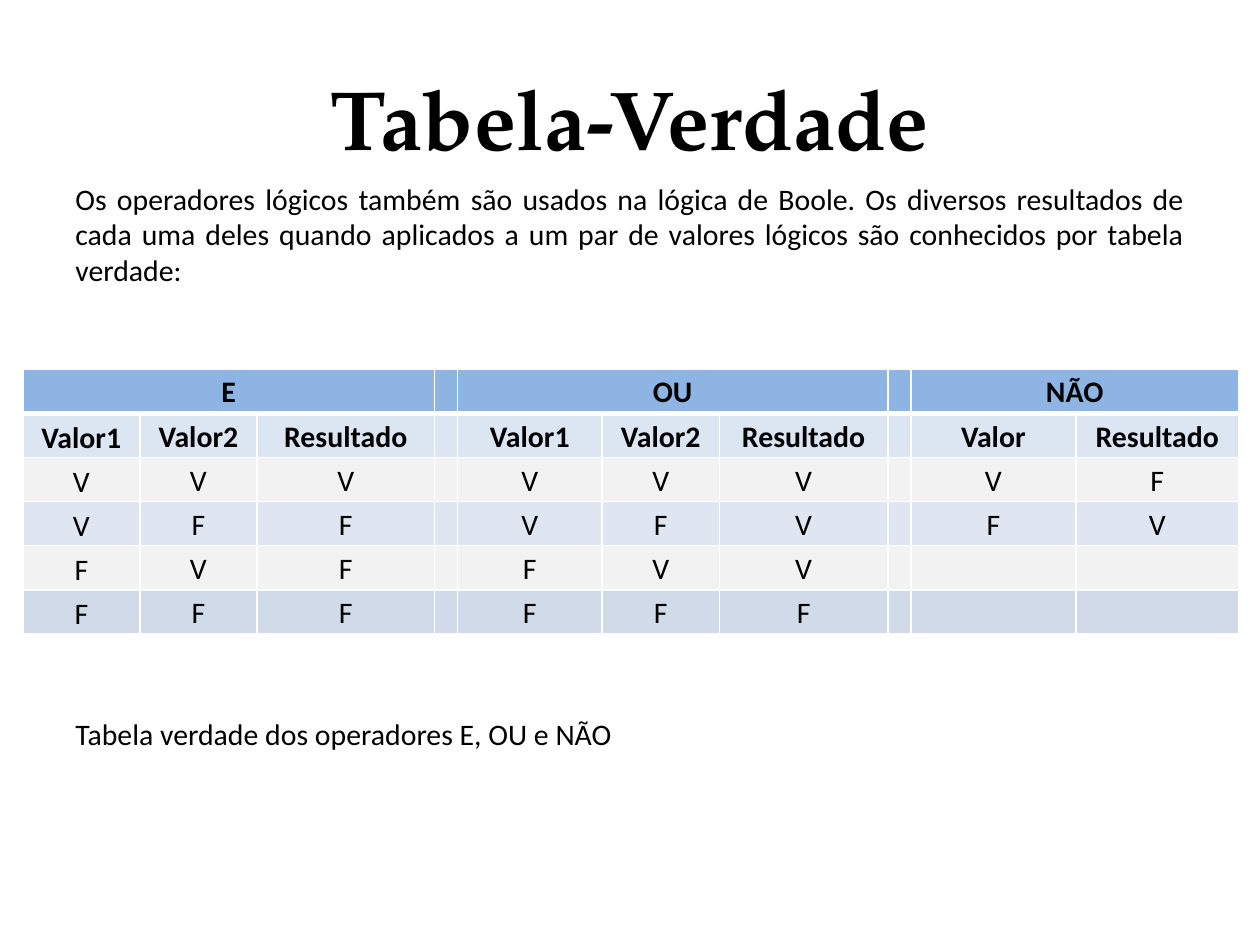
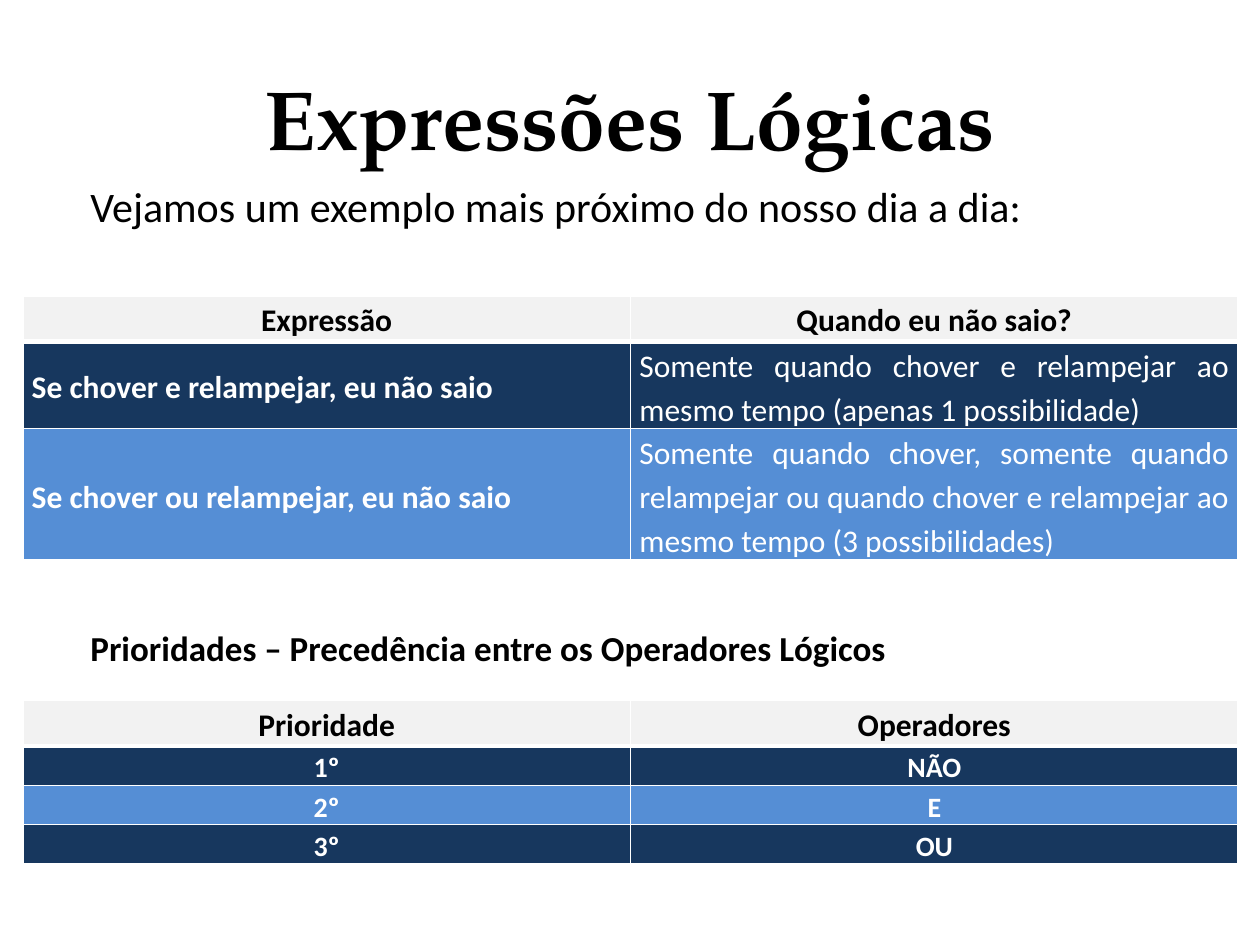
from pptx import Presentation
from pptx.dml.color import RGBColor
from pptx.enum.text import MSO_ANCHOR, PP_ALIGN
from pptx.oxml import parse_xml
from pptx.oxml.ns import nsdecls
from pptx.util import Cm, Pt

LEFT, CENTER, JUSTIFY = PP_ALIGN.LEFT, PP_ALIGN.CENTER, PP_ALIGN.JUSTIFY
TOP, MIDDLE = MSO_ANCHOR.TOP, MSO_ANCHOR.MIDDLE

BLACK = RGBColor(0x00, 0x00, 0x00)
WHITE = RGBColor(0xFF, 0xFF, 0xFF)
GREY = RGBColor(0xF2, 0xF2, 0xF2)
SKY = RGBColor(0x8E, 0xB4, 0xE3)
PALE_SKY = RGBColor(0xDC, 0xE6, 0xF2)
PALE_BLUE = RGBColor(0xE0, 0xE6, 0xF1)
DUSTY_BLUE = RGBColor(0xD1, 0xDA, 0xE9)
NAVY = RGBColor(0x17, 0x37, 0x5E)
BLUE = RGBColor(0x55, 0x8E, 0xD5)

TITLE_FONT = "TeX Gyre Pagella"
BODY_FONT = "Calibri"
MARGIN = Cm(1.27)
CONTENT_WIDTH = Cm(22.86)
BODY_TOP = Cm(3.51)
TABLE_LEFT = Cm(0.46)
INDENT = Cm(0.3)

TRUTH_TITLE = "Tabela-Verdade"
TRUTH_INTRO = (
    "Os operadores lógicos também são usados na lógica de Boole. Os diversos "
    "resultados de cada uma deles quando aplicados a um par de valores lógicos "
    "são conhecidos por tabela verdade:"
)
TRUTH_CAPTION = "Tabela verdade dos operadores E, OU e NÃO"
TRUTH_ROWS = [
    ["E", "", "", "", "OU", "", "", "", "NÃO", ""],
    ["Valor1", "Valor2", "Resultado", "", "Valor1", "Valor2", "Resultado", "",
     "Valor", "Resultado"],
    ["V", "V", "V", "", "V", "V", "V", "", "V", "F"],
    ["V", "F", "F", "", "V", "F", "V", "", "F", "V"],
    ["F", "V", "F", "", "F", "V", "V", "", "", ""],
    ["F", "F", "F", "", "F", "F", "F", "", "", ""],
]
TRUTH_FILLS = [SKY, PALE_SKY, GREY, PALE_BLUE, GREY, DUSTY_BLUE]
TRUTH_COLUMNS = [2.36, 2.36, 3.58, 0.46, 2.92, 2.36, 3.4, 0.46, 3.33, 3.28]
OPERATOR_SPANS = [(0, 2), (4, 6), (8, 9)]

EXPRESSION_TITLE = "Expressões Lógicas"
EXPRESSION_INTRO = "Vejamos um exemplo mais próximo do nosso dia a dia:"
EXPRESSION_ROWS = [
    ["Expressão", "Quando eu não saio?"],
    ["Se chover e relampejar, eu não saio",
     "Somente quando chover e relampejar ao mesmo tempo (apenas 1 possibilidade)"],
    ["Se chover ou relampejar, eu não saio",
     "Somente quando chover, somente quando relampejar ou quando chover e "
     "relampejar ao mesmo tempo (3 possibilidades)"],
]
PRIORITY_HEADING = "Prioridades – Precedência entre os Operadores Lógicos"
PRIORITY_ROWS = [
    ["Prioridade", "Operadores"],
    ["1º", "NÃO"],
    ["2º", "E"],
    ["3º", "OU"],
]
STRIPE_FILLS = [GREY, NAVY, BLUE, NAVY]
HALF_COLUMNS = [12.25, 12.25]


def format_paragraph(paragraph, size, color=BLACK, bold=False, align=LEFT, font=BODY_FONT):
    paragraph.alignment = align
    for run in paragraph.runs:
        run.font.name = font
        run.font.size = Pt(size)
        run.font.bold = bold
        run.font.color.rgb = color


def add_text(slide, text, top, height, size, anchor=TOP, indent=0, space_before=0, **style):
    box = slide.shapes.add_textbox(MARGIN, top, CONTENT_WIDTH, height)
    frame = box.text_frame
    frame.word_wrap = True
    frame.vertical_anchor = anchor
    frame.margin_left += indent
    frame.text = text
    paragraph = frame.paragraphs[0]
    paragraph.space_before = Pt(space_before)
    format_paragraph(paragraph, size, **style)


def add_title(slide, text):
    add_text(slide, text, Cm(0.76), Cm(3.18), 48, anchor=MIDDLE, bold=True,
             align=CENTER, font=TITLE_FONT)


def set_borders(cell, top_width, bottom_width):
    properties = cell._tc.get_or_add_tcPr()
    for side, width in (("L", 1), ("R", 1), ("T", top_width), ("B", bottom_width)):
        properties.append(parse_xml(
            f'<a:ln{side} {nsdecls("a")} w="{Pt(width)}"><a:solidFill>'
            f'<a:srgbClr val="{WHITE}"/></a:solidFill></a:ln{side}>'))


def add_grid(slide, top, columns, heights, rows, fills, style_for):
    """Add a table; style_for(row, column) gives the text style of a cell."""
    table = slide.shapes.add_table(
        len(rows), len(columns), TABLE_LEFT, top,
        Cm(sum(columns)), Cm(sum(heights))).table
    table.first_row = table.horz_banding = False
    for column, width in zip(table.columns, columns):
        column.width = Cm(width)
    for row_index, (texts, fill, height) in enumerate(zip(rows, fills, heights)):
        table.rows[row_index].height = Cm(height)
        for column_index, text in enumerate(texts):
            cell = table.cell(row_index, column_index)
            cell.margin_left = cell.margin_right = Cm(0.18)
            cell.margin_top = cell.margin_bottom = 0
            cell.vertical_anchor = MIDDLE if row_index and column_index == 0 else TOP
            set_borders(cell, 3 if row_index == 1 else 1, 3 if row_index == 0 else 1)
            cell.fill.solid()
            cell.fill.fore_color.rgb = fill
            if text:
                cell.text_frame.text = text
                paragraph = cell.text_frame.paragraphs[0]
                paragraph.line_spacing = 1.15
                paragraph.space_after = Pt(10)
                format_paragraph(paragraph, **style_for(row_index, column_index))
    return table


def truth_style(row, column):
    return dict(size=17, bold=row < 2, align=CENTER)


def expression_style(row, column):
    if row == 0:
        return dict(size=18, bold=True, align=CENTER)
    return dict(size=18, color=WHITE, bold=column == 0, align=JUSTIFY)


def priority_style(row, column):
    if row == 0:
        return expression_style(row, column)
    return dict(size=16, color=WHITE, bold=True, align=CENTER)


def build_truth_slide(slide):
    add_title(slide, TRUTH_TITLE)
    add_text(slide, TRUTH_INTRO, BODY_TOP, Cm(3), 17, space_before=2, align=JUSTIFY)
    table = add_grid(slide, Cm(7.44), TRUTH_COLUMNS, [0.89] * len(TRUTH_ROWS),
                     TRUTH_ROWS, TRUTH_FILLS, truth_style)
    for first, last in OPERATOR_SPANS:
        table.cell(0, first).merge(table.cell(0, last))
    add_text(slide, TRUTH_CAPTION, Cm(14.3), Cm(0.99), 17, anchor=MIDDLE, align=JUSTIFY)


def build_expression_slide(slide):
    add_title(slide, EXPRESSION_TITLE)
    add_text(slide, EXPRESSION_INTRO, BODY_TOP, Cm(1.5), 24, indent=INDENT, space_before=2)
    add_grid(slide, Cm(5.97), HALF_COLUMNS, [0.92, 1.75, 2.65],
             EXPRESSION_ROWS, STRIPE_FILLS, expression_style)
    add_text(slide, PRIORITY_HEADING, Cm(12.5), Cm(1.2), 20, indent=INDENT,
             bold=True, align=JUSTIFY)
    add_grid(slide, Cm(14.12), HALF_COLUMNS, [0.92, 0.79, 0.79, 0.79],
             PRIORITY_ROWS, STRIPE_FILLS, priority_style)


def main():
    presentation = Presentation()
    presentation.slide_width = Cm(25.4)
    presentation.slide_height = Cm(19.05)
    blank = presentation.slide_layouts[6]
    for build in (build_truth_slide, build_expression_slide):
        build(presentation.slides.add_slide(blank))
    presentation.save("out.pptx")


if __name__ == "__main__":
    main()
